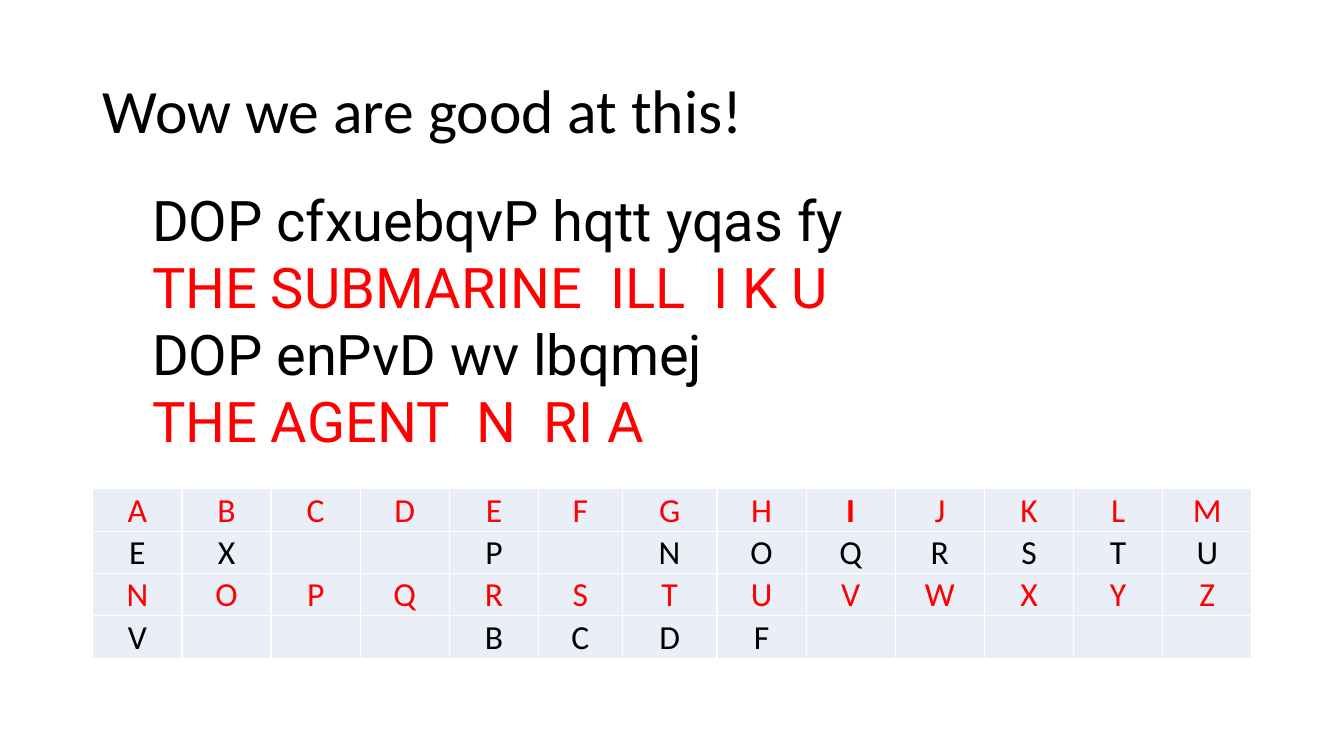
"""Build the cipher-solving slide with its message and letter key."""
from dataclasses import dataclass

from pptx import Presentation
from pptx.dml.color import RGBColor
from pptx.enum.text import MSO_ANCHOR, MSO_AUTO_SIZE, PP_ALIGN
from pptx.util import Inches, Pt

LEFT, CENTER = PP_ALIGN.LEFT, PP_ALIGN.CENTER
MIDDLE, BOTTOM = MSO_ANCHOR.MIDDLE, MSO_ANCHOR.BOTTOM
FIT_SHAPE, NO_FIT = MSO_AUTO_SIZE.SHAPE_TO_FIT_TEXT, MSO_AUTO_SIZE.NONE

TITLE = "Wow we are good at this!"
MESSAGE = [
    "DOP cfxuebqvP hqtt yqas fy",
    "THE SUBMARINE  ILL  I K U",
    "DOP enPvD wv lbqmej",
    "THE AGENT  N  RI A",
]
ALPHABET = "ABCDEFGHIJKLMNOPQRSTUVWXYZ"
KEY = dict(A="E", B="X", E="P", G="N", H="O", I="Q", J="R", K="S", L="T", M="U",
           N="V", R="B", S="C", T="D", U="F")
BOLD_LETTER = "I"
COLUMNS = 13
SPECIAL_WIDTHS = {5: 0.83, 6: 0.94}
TABLE_LEFT, TABLE_TOP, TABLE_WIDTH, ROW_HEIGHT = 0.92, 4.85, 11.5, 0.42


@dataclass(frozen=True)
class Theme:
    """Colours, fonts and type sizes."""
    black: RGBColor = RGBColor(0, 0, 0)
    red: RGBColor = RGBColor(255, 0, 0)
    cell: RGBColor = RGBColor(0xEA, 0xEF, 0xF7)
    main_font: str = "Calibri"
    message_font: str = "Roboto"
    title_size: int = 44
    message_size: int = 40
    key_size: int = 24


THEME = Theme()


def write(para, text, font, size, color, align=LEFT):
    """Fill a paragraph and format it."""
    para.text = text
    para.alignment = align
    para.font.name = font
    para.font.size = Pt(size)
    para.font.color.rgb = color


def add_title(slide):
    """Place the title."""
    title = slide.shapes.title
    title.left, title.top = Inches(0.92), Inches(0.4)
    title.width, title.height = Inches(11.5), Inches(1.45)
    frame = title.text_frame
    frame.vertical_anchor = MIDDLE
    frame.auto_size = NO_FIT
    para = frame.paragraphs[0]
    write(para, TITLE, THEME.main_font, THEME.title_size, THEME.black)
    para.line_spacing = 0.9


def add_message(slide):
    """Place the coded lines, each followed by its solution."""
    box = slide.shapes.add_textbox(Inches(1.41), Inches(1.79), Inches(9.72), Inches(2.79))
    frame = box.text_frame
    frame.word_wrap = True
    frame.auto_size = FIT_SHAPE
    for index, line in enumerate(MESSAGE):
        para = frame.add_paragraph() if index else frame.paragraphs[0]
        color = THEME.red if index % 2 else THEME.black
        write(para, line, THEME.message_font, THEME.message_size, color)


def add_key(slide):
    """Place the table of letters and their cipher letters."""
    rows = []
    for start in range(0, len(ALPHABET), COLUMNS):
        letters = ALPHABET[start:start + COLUMNS]
        rows += [list(letters), [KEY.get(letter, "") for letter in letters]]
    table = slide.shapes.add_table(
        len(rows), COLUMNS, Inches(TABLE_LEFT), Inches(TABLE_TOP),
        Inches(TABLE_WIDTH), Inches(ROW_HEIGHT * len(rows))).table
    table.first_row = table.horz_banding = False
    usual = (TABLE_WIDTH - sum(SPECIAL_WIDTHS.values())) / (COLUMNS - len(SPECIAL_WIDTHS))
    for index, column in enumerate(table.columns):
        column.width = Inches(SPECIAL_WIDTHS.get(index, usual))
    for row_index, row in enumerate(rows):
        plain = row_index % 2 == 0
        for column_index, letter in enumerate(row):
            cell = table.cell(row_index, column_index)
            cell.fill.solid()
            cell.fill.fore_color.rgb = THEME.cell
            cell.vertical_anchor = BOTTOM
            cell.margin_left = cell.margin_right = cell.margin_top = Inches(0.01)
            cell.margin_bottom = 0
            para = cell.text_frame.paragraphs[0]
            color = THEME.red if plain else THEME.black
            write(para, letter, THEME.main_font, THEME.key_size, color, CENTER)
            para.font.bold = plain and letter == BOLD_LETTER


def main():
    """Build and save the deck."""
    deck = Presentation()
    deck.slide_width, deck.slide_height = Inches(13.33), Inches(7.5)
    slide = deck.slides.add_slide(deck.slide_layouts[5])
    add_title(slide)
    add_key(slide)
    add_message(slide)
    deck.save("out.pptx")


if __name__ == "__main__":
    main()
